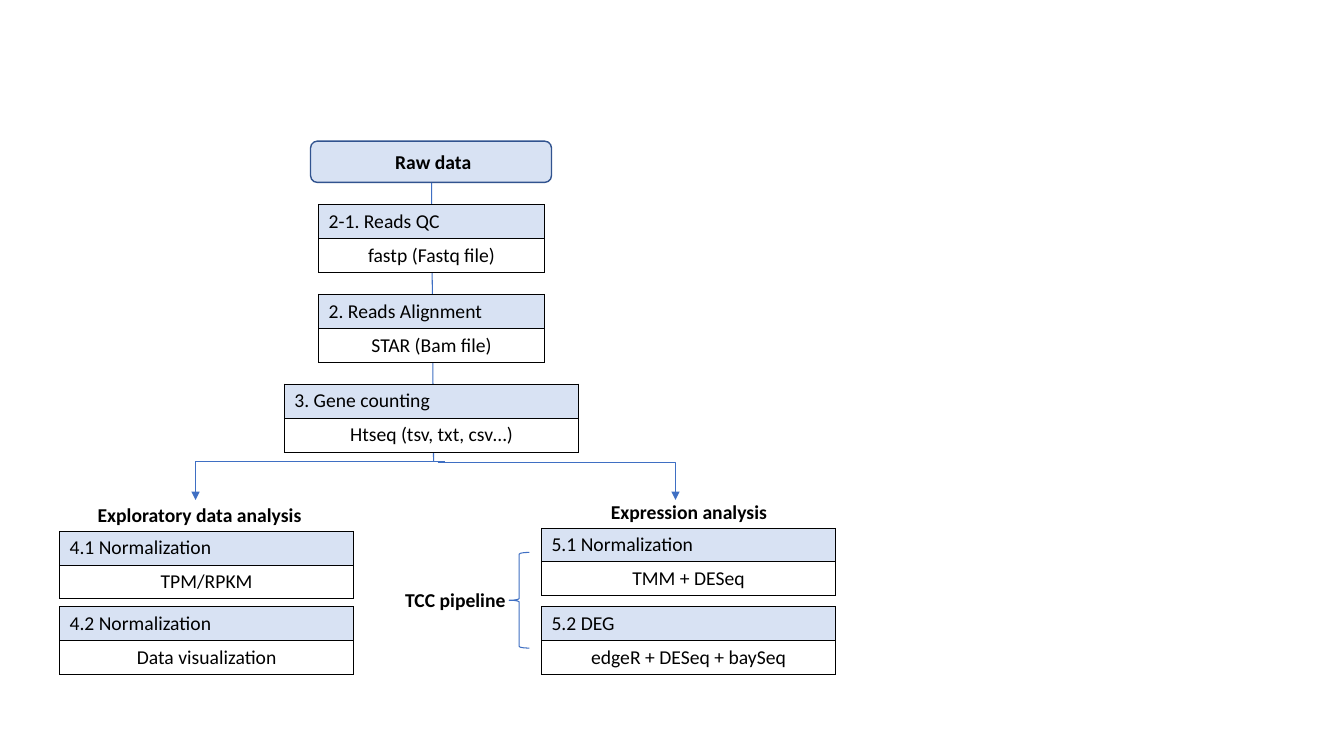
from lxml.etree import SubElement
from pptx import Presentation
from pptx.dml.color import RGBColor
from pptx.enum.shapes import MSO_CONNECTOR as LINK, MSO_SHAPE as SHAPE
from pptx.enum.text import MSO_ANCHOR as ANCHOR, PP_ALIGN as ALIGN
from pptx.oxml.ns import qn
from pptx.util import Emu, Pt


class Theme:
    font = "Calibri"
    size = Pt(14)
    text = RGBColor(0x00, 0x00, 0x00)
    header = RGBColor(0xD8, 0xE2, 0xF3)
    body = RGBColor(0xFF, 0xFF, 0xFF)
    link = RGBColor(0x3F, 0x6F, 0xC3)
    outline = RGBColor(0x31, 0x53, 0x8F)
    border = "000000"
    thin = Pt(0.75)
    medium = Pt(1)


STEP_HEIGHT = 67
BRANCH_WIDTH = 292


def px(length):
    """100 px to the inch."""
    return Emu(length * 9144)


def write(frame, text, bold=False, align=ALIGN.LEFT):
    frame.word_wrap = True
    paragraph = frame.paragraphs[0]
    paragraph.alignment = align
    run = paragraph.add_run()
    run.text = text
    run.font.name, run.font.size = Theme.font, Theme.size
    run.font.bold = bold
    run.font.color.rgb = Theme.text


def add_label(slide, left, top, width, text):
    label = slide.shapes.add_textbox(px(left), px(top), px(width), px(33))
    write(label.text_frame, text, bold=True)


def add_borders(cell):
    properties = cell._tc.get_or_add_tcPr()
    for index, side in enumerate(("lnL", "lnR", "lnT", "lnB")):
        edge = properties.makeelement(qn(f"a:{side}"), {"w": str(Theme.thin)})
        properties.insert(index, edge)
        fill = SubElement(edge, qn("a:solidFill"))
        SubElement(fill, qn("a:srgbClr"), val=Theme.border)


def add_step(slide, left, top, width, title, tool):
    """A two-row table: the step above, its tool below."""
    table = slide.shapes.add_table(
        2, 1, px(left), px(top), px(width), px(STEP_HEIGHT)).table
    table.first_row = table.horz_banding = False
    rows = ((title, Theme.header, ALIGN.LEFT), (tool, Theme.body, ALIGN.CENTER))
    for index, (text, color, align) in enumerate(rows):
        cell = table.cell(index, 0)
        cell.vertical_anchor = ANCHOR.MIDDLE
        cell.fill.solid()
        cell.fill.fore_color.rgb = color
        write(cell.text_frame, text, align=align)
        add_borders(cell)


def add_link(slide, kind, start, end):
    link = slide.shapes.add_connector(kind, *map(px, start + end))
    link.line.color.rgb = Theme.link
    link.line.width = Theme.thin
    SubElement(link._element.spPr, qn("a:effectLst"))
    return link


def add_branch_arrow(slide, start, end):
    """Runs sideways to the branch, then straight down."""
    arrow = add_link(slide, LINK.ELBOW, start, end)
    geometry = arrow._element.spPr.find(qn("a:prstGeom"))
    guides = geometry.find(qn("a:avLst"))
    if guides is None:
        guides = SubElement(geometry, qn("a:avLst"))
    SubElement(guides, qn("a:gd"), name="adj1", fmla="val 100000")
    SubElement(arrow.line._get_or_add_ln(), qn("a:tailEnd"), type="triangle")


def add_main_flow(slide, left, top, width):
    # Trunk, hidden behind the steps
    center = left + width // 2
    add_link(slide, LINK.STRAIGHT, (center, top + 41), (center + 2, top + 318))

    # Starting point
    raw_data = slide.shapes.add_shape(
        SHAPE.ROUNDED_RECTANGLE, px(left + 26), px(top), px(239), px(41))
    raw_data.shadow.inherit = False
    raw_data.fill.solid()
    raw_data.fill.fore_color.rgb = Theme.header
    raw_data.line.color.rgb = Theme.outline
    raw_data.line.width = Theme.medium
    raw_data.text_frame.vertical_anchor = ANCHOR.MIDDLE
    write(raw_data.text_frame, " Raw data", bold=True, align=ALIGN.CENTER)

    # Steps, centred on the column
    steps = (
        (224, "2-1. Reads QC", "fastp (Fastq file)"),
        (224, "2. Reads Alignment", "STAR (Bam file)"),
        (width, "3. Gene counting", "Htseq (tsv, txt, csv…)"),
    )
    for index, (step_width, title, tool) in enumerate(steps):
        add_step(slide, left + (width - step_width) // 2,
                 top + 63 + index * 89, step_width, title, tool)


def add_branch(slide, left, top, heading, heading_left, heading_width, steps):
    add_label(slide, left + heading_left, top, heading_width, heading)
    for step_top, (title, tool) in zip((top + 33, 602), steps):
        add_step(slide, left, step_top, BRANCH_WIDTH, title, tool)


def add_pipeline_brace(slide, left, top, height):
    brace = slide.shapes.add_shape(
        SHAPE.LEFT_BRACE, px(left + 113), px(top), px(20), px(height))
    brace.shadow.inherit = False
    brace.fill.background()
    brace.line.color.rgb = Theme.link
    brace.line.width = Theme.thin
    add_label(slide, left, top + 30, 129, "TCC pipeline")


def main():
    deck = Presentation()
    deck.slide_width, deck.slide_height = px(1333), px(750)
    slide = deck.slides.add_slide(deck.slide_layouts[6])

    add_main_flow(slide, 282, 140, BRANCH_WIDTH)

    # Split into the two analyses
    add_branch_arrow(slide, (441, 458), (194, 496))
    add_branch_arrow(slide, (434, 459), (670, 496))
    add_branch(slide, 59, 494, "Exploratory data analysis", 28, 237, (
        ("4.1 Normalization", "TPM/RPKM"),
        ("4.2 Normalization", "Data visualization")))
    add_branch(slide, 537, 491, "Expression analysis", 59, 223, (
        ("5.1 Normalization", "TMM + DESeq"),
        ("5.2 DEG", "edgeR + DESeq + baySeq")))
    add_pipeline_brace(slide, 392, 548, 95)

    deck.save("out.pptx")


if __name__ == "__main__":
    main()
